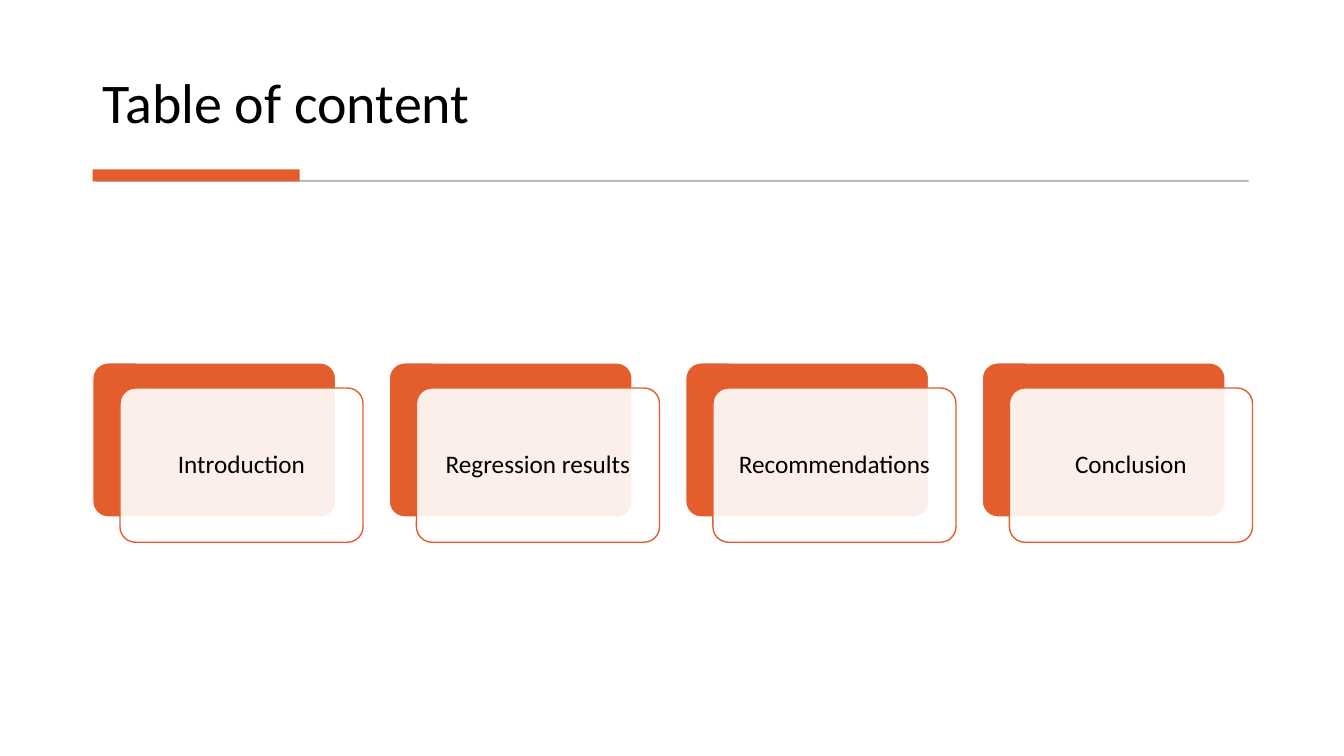
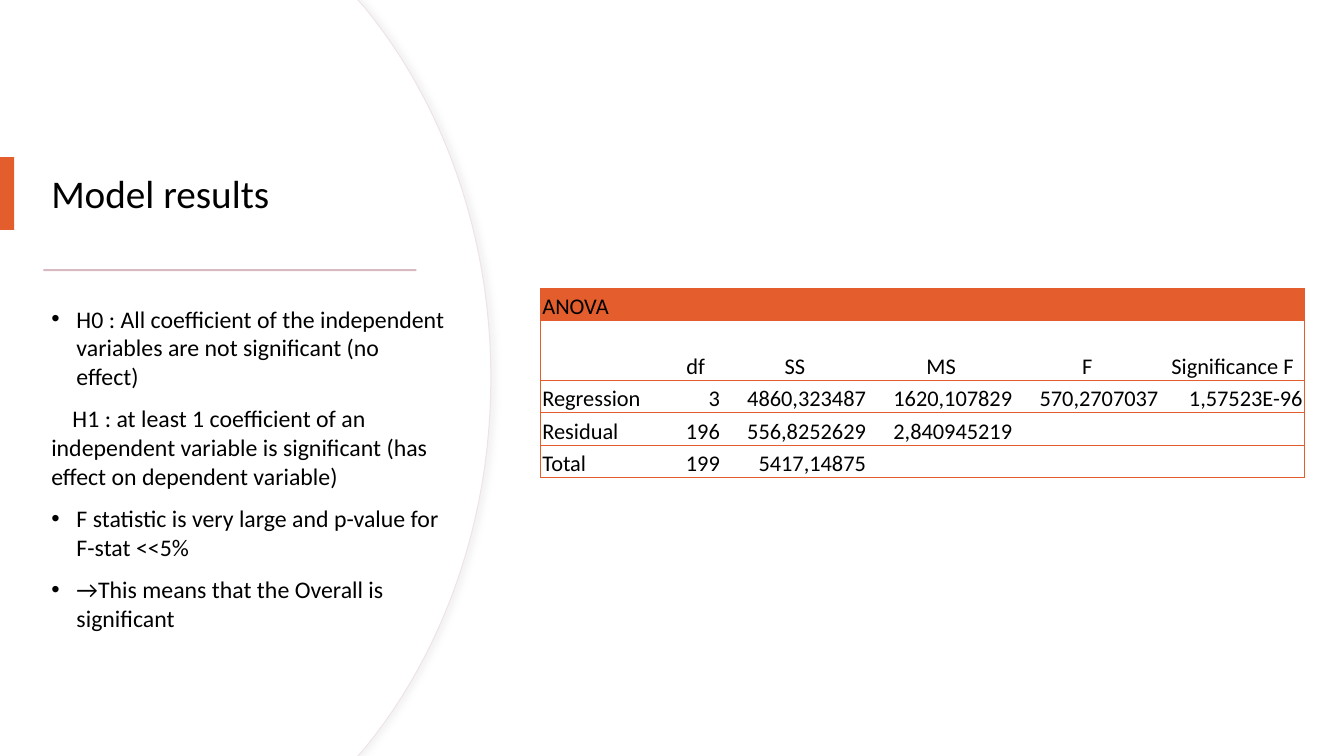
from lxml import etree
from pptx import Presentation
from pptx.dml.color import RGBColor
from pptx.enum.shapes import MSO_SHAPE
from pptx.enum.text import MSO_ANCHOR, PP_ALIGN
from pptx.oxml.ns import qn
from pptx.util import Inches, Pt

RECTANGLE, ROUNDED = MSO_SHAPE.RECTANGLE, MSO_SHAPE.ROUNDED_RECTANGLE
TOP, MIDDLE, BOTTOM = MSO_ANCHOR.TOP, MSO_ANCHOR.MIDDLE, MSO_ANCHOR.BOTTOM
LEFT, CENTER, RIGHT = PP_ALIGN.LEFT, PP_ALIGN.CENTER, PP_ALIGN.RIGHT

COLORS = {
    "accent": "E45D2C",
    "text": "000000",
    "paper": "FFFFFF",
    "rule": "595959",
    "divider": "D8BAC0",
    "edge": "EFE3E6",
    "shade": "D9D9D9",
}
FONT = "Calibri"

TOPICS = ["Introduction", "Regression results", "Recommendations", "Conclusion"]
FINDINGS = [
    ("H0 : All coefficient of the independent variables are not significant (no effect)", True),
    ("H1 : at least 1 coefficient of an independent variable is significant "
     "(has effect on dependent variable)", False),
    ("F statistic is very large and p-value for F-stat <<5%", True),
    ("→This means that the Overall is significant", True),
]
ANOVA = [
    ["ANOVA", "", "", "", "", ""],
    ["", "df", "SS", "MS", "F", "Significance F"],
    ["Regression", "3", "4860,323487", "1620,107829", "570,2707037", "1,57523E-96"],
    ["Residual", "196", "556,8252629", "2,840945219", "", ""],
    ["Total", "199", "5417,14875", "", "", ""],
]


def rgb(name):
    return RGBColor.from_string(COLORS[name])


def add_node(parent, tag, **attributes):
    return etree.SubElement(parent, qn(tag), attributes)


def set_opacity(parent, percent):
    color = parent.find(qn("a:solidFill"))[0]
    add_node(color, "a:alpha", val=str(percent * 1000))


def cubic(start, first, second, end, steps=24):
    for step in range(1, steps + 1):
        t = step / steps
        weights = ((1 - t) ** 3, 3 * t * (1 - t) ** 2, 3 * t * t * (1 - t), t ** 3)
        yield tuple(sum(w * p for w, p in zip(weights, axis))
                    for axis in zip(start, first, second, end))


class Deck:
    """Positions and sizes are percentages of the slide's width and height."""

    def __init__(self):
        self.show = Presentation()
        self.show.slide_width, self.show.slide_height = Inches(13.33), Inches(7.5)
        self.shapes = None

    def new_slide(self):
        self.shapes = self.show.slides.add_slide(self.show.slide_layouts[6]).shapes

    def across(self, share):
        return round(self.show.slide_width * share / 100)

    def down(self, share):
        return round(self.show.slide_height * share / 100)

    def box(self, left, top, width, height):
        return self.across(left), self.down(top), self.across(width), self.down(height)

    def paint(self, shape, fill, line=None, width=0.75, opacity=None):
        shape.shadow.inherit = False
        shape.fill.solid()
        shape.fill.fore_color.rgb = rgb(fill)
        if opacity:
            set_opacity(shape._element.spPr, opacity)
        if line:
            shape.line.color.rgb = rgb(line)
            shape.line.width = Pt(width)
        else:
            shape.line.fill.background()
        return shape

    def block(self, box, fill, line=None, width=0.75, opacity=None, kind=RECTANGLE):
        shape = self.shapes.add_shape(kind, *self.box(*box))
        if kind == ROUNDED:
            shape.adjustments[0] = 0.1
        return self.paint(shape, fill, line, width, opacity)

    def style(self, paragraph, size, align=LEFT):
        paragraph.alignment = align
        paragraph.font.name = FONT
        paragraph.font.size = Pt(size)
        paragraph.font.color.rgb = rgb("text")

    def frame(self, box, anchor):
        frame = self.shapes.add_textbox(*self.box(*box)).text_frame
        frame.word_wrap = True
        frame.vertical_anchor = anchor
        return frame

    def title(self, text, box, size, anchor):
        paragraph = self.frame(box, anchor).paragraphs[0]
        paragraph.text = text
        paragraph.line_spacing = 0.9
        self.style(paragraph, size)

    def rule(self, box):
        hairline = self.block(box, "rule", "rule", opacity=30)
        set_opacity(hairline._element.spPr.find(qn("a:ln")), 30)

    def card(self, text, left, top, width, height):
        self.block((left, top, width, height), "accent", "paper", 1, kind=ROUNDED)
        front = self.block((left + 2.03, top + 3.33, width, height), "paper", "accent", 1,
                           opacity=90, kind=ROUNDED)
        frame = front.text_frame
        frame.word_wrap = True
        frame.vertical_anchor = MIDDLE
        paragraph = frame.paragraphs[0]
        paragraph.text = text
        paragraph.line_spacing = 0.9
        self.style(paragraph, 18, CENTER)

    def curved_panel(self, shift=0, line=None, shadow=False):
        arc = [(27.16, 1.07), *cubic((27.16, 1.07), (32.93, 13.6), (36.53, 30.93), (36.53, 50))]
        upper = [(26.63, 0), *arc]
        lower = [(x, 100 - y) for x, y in reversed(upper[:-1])]
        outline = [(self.across(x + shift), self.down(y)) for x, y in upper + lower]
        builder = self.shapes.build_freeform(0, 0)
        builder.add_line_segments([*outline, (0, self.down(100))], close=True)
        panel = self.paint(builder.convert_to_shape(), "paper", line)
        if shadow:
            effects = panel._element.spPr.find(qn("a:effectLst"))
            outer = add_node(effects, "a:outerShdw", blurRad=str(Pt(4)), dist=str(Pt(3)),
                             dir="0", algn="l", rotWithShape="0")
            color = add_node(outer, "a:srgbClr", val=COLORS["shade"])
            add_node(color, "a:alpha", val="30000")

    def findings(self, entries, box, size):
        frame = self.frame(box, TOP)
        for index, (text, bulleted) in enumerate(entries):
            paragraph = frame.add_paragraph() if index else frame.paragraphs[0]
            paragraph.text = text
            properties = paragraph._p.get_or_add_pPr()
            margin, indent = (0.25, -0.25) if bulleted else (0, 0.21)
            properties.set("marL", str(Inches(margin)))
            properties.set("indent", str(Inches(indent)))
            if bulleted:
                add_node(properties, "a:buFont", typeface="Arial")
                add_node(properties, "a:buChar", char="•")
            paragraph.space_before = Pt(10)
            self.style(paragraph, size)

    def cell_borders(self, cell, drawn):
        properties = cell._tc.get_or_add_tcPr()
        for side in ("L", "R", "T", "B"):
            edge = add_node(properties, f"a:ln{side}", w=str(Pt(0.5)))
            if side in drawn:
                fill = add_node(edge, "a:solidFill")
                add_node(fill, "a:srgbClr", val=COLORS["accent"])
            else:
                add_node(edge, "a:noFill")

    def table(self, rows, left, top, widths, heights, size):
        box = self.box(left, top, sum(widths), sum(heights))
        table = self.shapes.add_table(len(rows), len(widths), *box).table
        table.first_row = table.horz_banding = False
        for column, width in zip(table.columns, widths):
            column.width = self.across(width)
        for row, height in zip(table.rows, heights):
            row.height = self.down(height)
        last = len(widths) - 1
        for r, row in enumerate(rows):
            for c, text in enumerate(row):
                cell = table.cell(r, c)
                self.cell_borders(cell, "TB" + "L" * (c == 0) + "R" * (c == last))
                if r == 0:
                    cell.fill.solid()
                    cell.fill.fore_color.rgb = rgb("accent")
                else:
                    cell.fill.background()
                cell.margin_left = cell.margin_right = cell.margin_top = Inches(0.02)
                cell.margin_bottom = 0
                cell.vertical_anchor = BOTTOM
                cell.text = text
                align = LEFT if c == 0 else CENTER if r == 1 else RIGHT
                self.style(cell.text_frame.paragraphs[0], size, align)


def contents_slide(deck):
    deck.new_slide()
    deck.title("Table of content", (6.9, 3.73, 86.2, 14.8), 40, BOTTOM)
    deck.rule((7.13, 23.87, 85.75, 0.13))
    deck.block((6.9, 22.4, 15.4, 1.6), "accent")
    for index, topic in enumerate(TOPICS):
        deck.card(topic, 6.9 + index * 22.06, 48, 18.08, 20.4)


def results_slide(deck):
    deck.new_slide()
    deck.curved_panel(line="edge", shadow=True)
    deck.curved_panel(shift=-0.08)
    deck.title("Model results", (3.08, 16.93, 28.2, 18), 28, MIDDLE)
    deck.block((0, 20.8, 1.05, 9.6), "accent")
    deck.block((3.23, 35.6, 27.76, 0.27), "divider")
    deck.findings(FINDINGS, (3.08, 39.6, 30.83, 46.8), 17)
    deck.table(ANOVA, 40.21, 38.13, [9.6, 3.9, 10.88, 10.88, 10.88, 10.73],
               [4.3, 7.87, 4.3, 4.3, 4.3], 16)


def main():
    deck = Deck()
    contents_slide(deck)
    results_slide(deck)
    deck.show.save("out.pptx")


if __name__ == "__main__":
    main()
